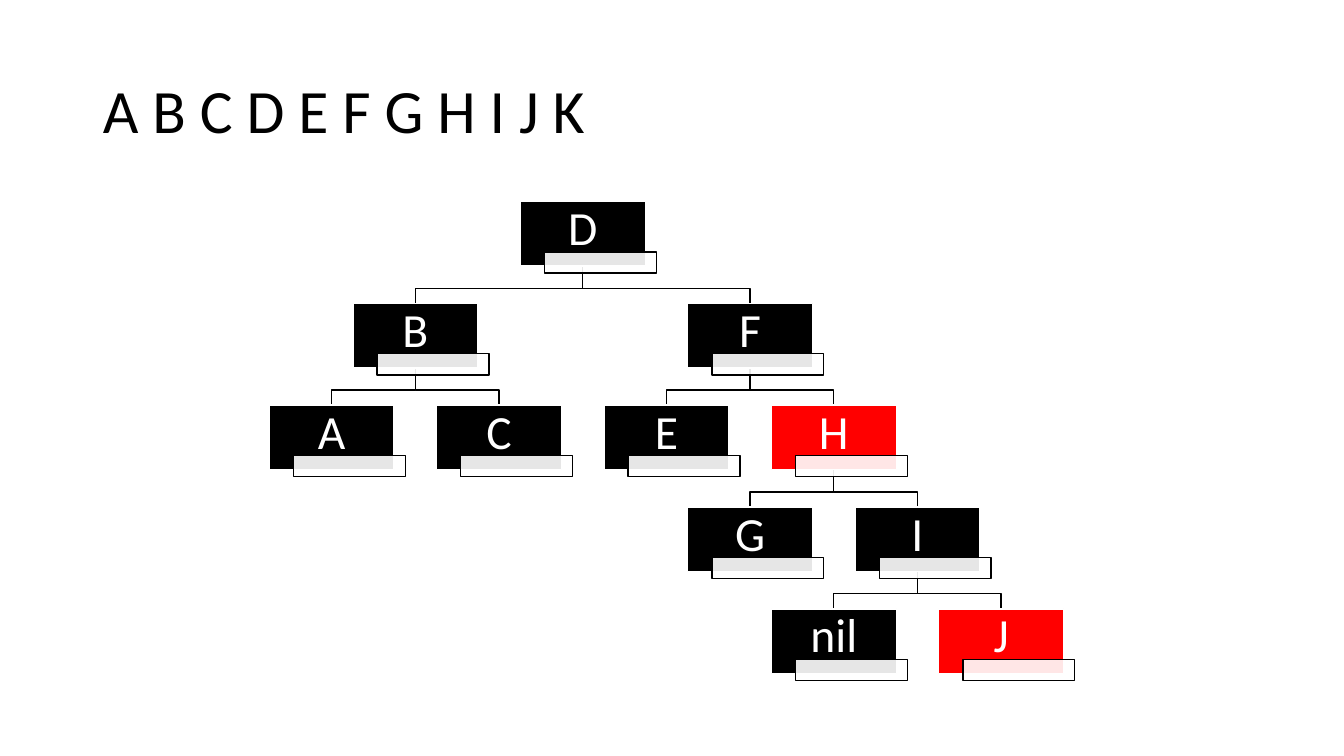
from pptx import Presentation
from pptx.dml.color import RGBColor
from pptx.enum.shapes import MSO_SHAPE
from pptx.enum.text import MSO_ANCHOR, PP_ALIGN
from pptx.oxml.ns import qn
from pptx.util import Inches, Pt
from lxml import etree

RECTANGLE = MSO_SHAPE.RECTANGLE
MIDDLE = MSO_ANCHOR.MIDDLE
LEFT, CENTER = PP_ALIGN.LEFT, PP_ALIGN.CENTER

BLACK, RED, WHITE = "000000", "FF0000", "FFFFFF"

# Tree grid: centre of column 0, top of row 0, and the steps between them
FIRST_CENTER, COLUMN_STEP = 3.29, 0.83
FIRST_TOP, ROW_STEP = 2.0, 1.01
NODE_WIDTH, NODE_HEIGHT = 1.24, 0.64
BRANCH_DROP = 0.22

# Node: column, row, colour, parent
NODES = {
    "D": (3, 0, BLACK, None),
    "B": (1, 1, BLACK, "D"),
    "A": (0, 2, BLACK, "B"),
    "C": (2, 2, BLACK, "B"),
    "F": (5, 1, BLACK, "D"),
    "E": (4, 2, BLACK, "F"),
    "H": (6, 2, RED, "F"),
    "G": (5, 3, BLACK, "H"),
    "I": (7, 3, BLACK, "H"),
    "nil": (6, 4, BLACK, "I"),
    "J": (8, 4, RED, "I"),
}


def rgb(value):
    return RGBColor.from_string(value)


def node_place(name):
    """Centre and top of a node, in inches."""
    column, row = NODES[name][:2]
    return FIRST_CENTER + column * COLUMN_STEP, FIRST_TOP + row * ROW_STEP


class TreeSlide:
    font = "Calibri"
    title_size = 44
    node_size = 34
    line_width = 1

    def __init__(self, presentation):
        self.slide = presentation.slides.add_slide(presentation.slide_layouts[5])

    def add_text(self, frame, text, size, color, align):
        frame.word_wrap = True
        frame.vertical_anchor = MIDDLE
        paragraph = frame.paragraphs[0]
        paragraph.alignment = align
        paragraph.line_spacing = 0.9
        run = paragraph.add_run()
        run.text = text
        run.font.name = self.font
        run.font.size = Pt(size)
        run.font.color.rgb = rgb(color)

    def outline(self, shape, color):
        shape.shadow.inherit = False
        shape.line.color.rgb = rgb(color)
        shape.line.width = Pt(self.line_width)

    def title(self, text, left, top, width, height):
        title = self.slide.shapes.title
        title.left, title.top = Inches(left), Inches(top)
        title.width, title.height = Inches(width), Inches(height)
        self.add_text(title.text_frame, text, self.title_size, BLACK, LEFT)

    def box(self, left, top, width, height, fill, line):
        box = self.slide.shapes.add_shape(
            RECTANGLE, Inches(left), Inches(top), Inches(width), Inches(height))
        box.fill.solid()
        box.fill.fore_color.rgb = rgb(fill)
        self.outline(box, line)
        return box

    def branch(self, parent, child):
        start_x, parent_top = node_place(parent)
        end_x, end_y = node_place(child)
        start_y = parent_top + NODE_HEIGHT
        bend_y = start_y + BRANCH_DROP
        builder = self.slide.shapes.build_freeform(Inches(start_x), Inches(start_y))
        corners = [(start_x, bend_y), (end_x, bend_y), (end_x, end_y)]
        builder.add_line_segments(
            [(Inches(x), Inches(y)) for x, y in corners], close=False)
        branch = builder.convert_to_shape()
        branch.fill.background()
        self.outline(branch, BLACK)

    def node(self, name, color):
        center, top = node_place(name)
        left = center - NODE_WIDTH / 2
        node = self.box(left, top, NODE_WIDTH, NODE_HEIGHT, color, WHITE)
        frame = node.text_frame
        frame.margin_left = frame.margin_right = frame.margin_top = Inches(0.02)
        frame.margin_bottom = Inches(0.09)
        self.add_text(frame, name, self.node_size, WHITE, CENTER)
        # Empty tag over the lower right corner, 90% opaque
        tag = self.box(left + 0.24, top + 0.5, 1.11, 0.21, WHITE, BLACK)
        tag_color = tag.element.spPr.find(qn("a:solidFill")).find(qn("a:srgbClr"))
        etree.SubElement(tag_color, qn("a:alpha")).set("val", "90000")


def main():
    presentation = Presentation()
    presentation.slide_width = Inches(13.33)
    presentation.slide_height = Inches(7.5)
    tree = TreeSlide(presentation)

    # Title
    tree.title("A B C D E F G H I J K", 0.92, 0.4, 11.5, 1.45)

    # Branches lie behind the nodes
    for name, (_, _, _, parent) in NODES.items():
        if parent:
            tree.branch(parent, name)

    # Nodes
    for name, (_, _, color, _) in NODES.items():
        tree.node(name, color)

    presentation.save("out.pptx")


if __name__ == "__main__":
    main()
